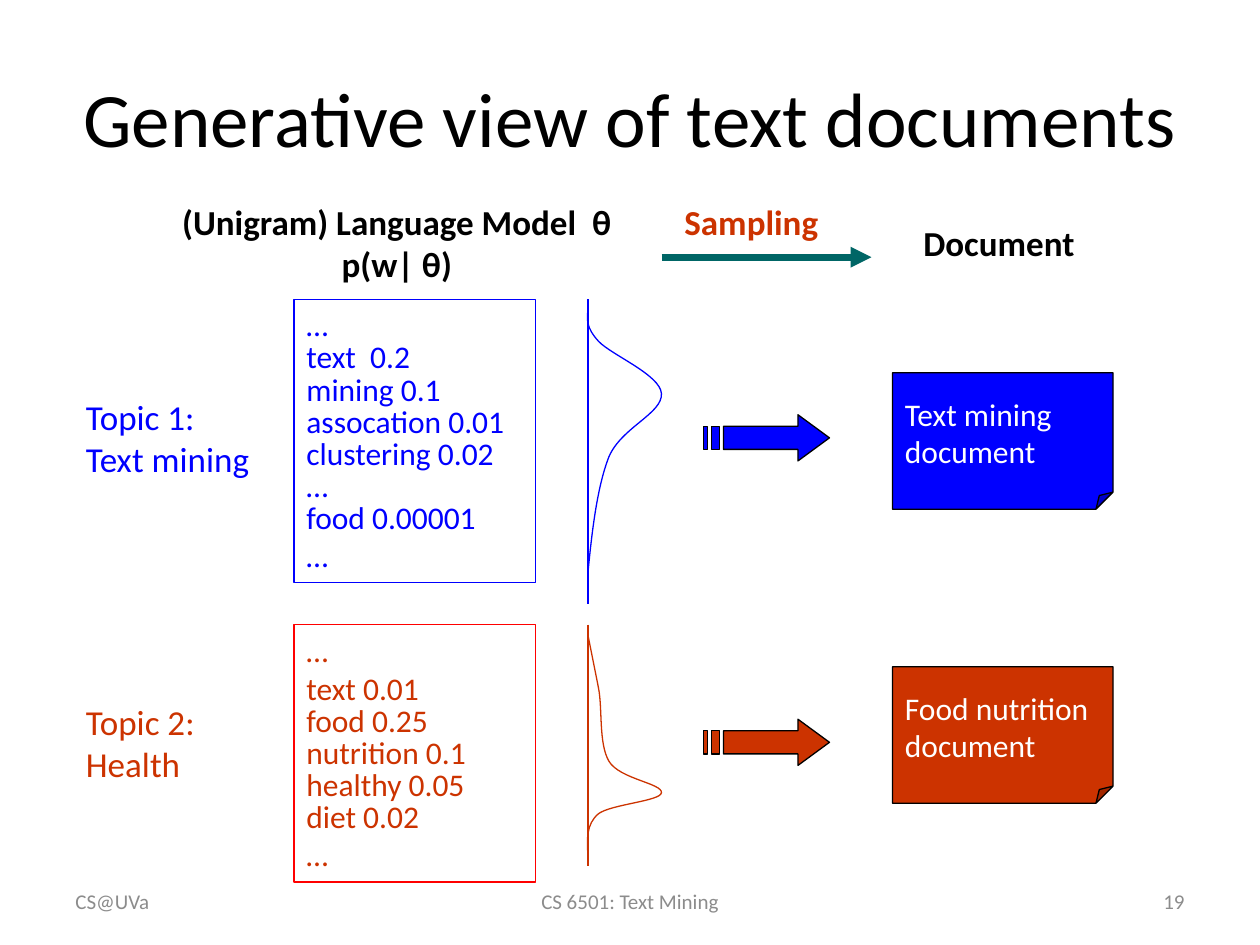
from lxml.etree import SubElement
from pptx import Presentation
from pptx.dml.color import RGBColor
from pptx.enum.shapes import MSO_CONNECTOR, MSO_SHAPE as Geo
from pptx.enum.text import MSO_ANCHOR as Anchor, MSO_AUTO_SIZE as Fit, PP_ALIGN as Align
from pptx.oxml.ns import qn
from pptx.util import Emu, Inches, Pt

HUES = {"black": "000000", "white": "FFFFFF", "blue": "0000FF", "rust": "CC3300",
        "red": "FF0000", "teal": "006666", "gray": "8C8C8C"}
CELL = Inches(1) / 12  # the slide is a grid of 120 columns and 90 rows


def grid(*cells):
    return [Emu(round(n * CELL)) for n in cells]


def rgb(hue):
    return RGBColor.from_string(HUES[hue])


def write(frame, text, size=20, hue="black", bold=False, align=Align.LEFT,
          anchor=Anchor.TOP, wrap=True, grow=False, tight=()):
    """Fill a text frame, one paragraph a line; tight lists the closely set lines."""
    frame.text = text
    frame.word_wrap = wrap
    frame.vertical_anchor = anchor
    frame.auto_size = Fit.SHAPE_TO_FIT_TEXT if grow else Fit.NONE
    for i, para in enumerate(frame.paragraphs):
        para.alignment = align
        if i in tight:
            para.line_spacing = 0.85
        for run in para.runs:
            font = run.font
            font.name, font.size, font.bold = "Calibri", Pt(size), bold
            font.color.rgb = rgb(hue)


class Board:
    """Draws on one slide in grid cells, with one shared style."""

    def __init__(self, deck):
        self.slide = deck.slides.add_slide(deck.slide_layouts[5])
        self.shapes = self.slide.shapes
        self.thin = 0.75

    def paint(self, shape, line, fill=None):
        shape.shadow.inherit = False
        shape.line.color.rgb = rgb(line)
        shape.line.width = Pt(self.thin)
        if fill:
            shape.fill.solid()
            shape.fill.fore_color.rgb = rgb(fill)
        else:
            shape.fill.background()

    def title(self, text, *box):
        shape = self.shapes.title
        shape.left, shape.top, shape.width, shape.height = grid(*box)
        write(shape.text_frame, text, size=44, align=Align.CENTER, anchor=Anchor.MIDDLE)

    def label(self, text, *box, **style):
        style = {"wrap": False, "grow": True, **style}
        write(self.shapes.add_textbox(*grid(*box)).text_frame, text, **style)

    def panel(self, text, *box, geo=Geo.RECTANGLE, line="black", fill=None, **style):
        shape = self.shapes.add_shape(geo, *grid(*box))
        if geo == Geo.FOLDED_CORNER:
            guides = next(shape.element.iter(qn("a:avLst")))
            SubElement(guides, qn("a:gd"), name="adj", fmla="val 12500")
        self.paint(shape, line, fill)
        write(shape.text_frame, text, size=18, **style)

    def rule(self, *ends, hue, width=None, head=False):
        rule = self.shapes.add_connector(MSO_CONNECTOR.STRAIGHT, *grid(*ends))
        rule.line.color.rgb = rgb(hue)
        rule.line.width = Pt(width or self.thin)
        if head:
            SubElement(rule.element.spPr.find(qn("a:ln")), qn("a:tailEnd"), type="triangle")
        SubElement(rule.element.spPr, qn("a:effectLst"))

    def outline(self, paths, close):
        pen = None
        for path in paths:
            start, *rest = [grid(*point) for point in path]
            if pen:
                pen.move_to(*start)
            else:
                pen = self.shapes.build_freeform(*start, scale=1.0)
            pen.add_line_segments(rest, close=close)
        return pen.convert_to_shape()

    def curve(self, points, hue):
        """Draw a Bezier chain: a start, then two handles and an end per part."""
        shape = self.outline([points], close=False)
        lines = list(shape.element.iter(qn("a:lnTo")))
        for i in range(0, len(lines), 3):
            bend = SubElement(lines[i].getparent(), qn("a:cubicBezTo"))
            for line in lines[i:i + 3]:
                bend.append(line[0])
                line.getparent().remove(line)
        self.paint(shape, hue)

    def arrow(self, x, y, hue):
        """Draw a block arrow with two stripes at its tail."""
        top, mid, low, end = y + 1.1, y + 2.2, y + 3.3, y + 4.4
        head = [(x + 9, y), (x + 9, top), (x + 1.9, top), (x + 1.9, low),
                (x + 9, low), (x + 9, end), (x + 12, mid)]
        bars = [[(a, top), (a, low), (b, low), (b, top)]
                for a, b in ((x + 0.75, x + 1.5), (x, x + 0.38))]
        self.paint(self.outline([head, *bars], close=True), "black", hue)


TOPICS = [
    {"hue": "blue", "edge": "blue", "name": "Topic 1:\nText mining", "spot": (37.1, 18.7),
     "words": "…\ntext  0.2\nmining 0.1\nassocation 0.01\nclustering 0.02\n…\nfood 0.00001\n…",
     "tight": range(1, 7), "top": 28.5, "tall": 27, "axis": 29,
     "bell": [(56, 29.5), (55.9, 30.4), (55.8, 31.2), (57, 32.5), (58.2, 33.8),
              (62.9, 35.7), (63, 37.5), (63.1, 39.4), (59.2, 40.7), (58, 43.5),
              (56.9, 46.3), (56.4, 50.4), (56, 54.5)],
     "doc": "Text mining\ndocument", "page": 35.5, "arrow": 39.5},
    {"hue": "rust", "edge": "red", "name": "Topic 2:\nHealth", "spot": (66.1, 13.6),
     "words": "…\ntext 0.01\nfood 0.25\nnutrition 0.1\nhealthy 0.05\ndiet 0.02\n…",
     "tight": range(2, 6), "top": 59.5, "tall": 24.5, "axis": 23,
     "bell": [(56, 60.5), (56.3, 62), (56.6, 63.5), (57, 65.5), (57.4, 67.5),
              (57, 70.8), (58, 72.5), (59, 74.2), (63.1, 74.6), (63, 75.5),
              (62.9, 76.3), (58.2, 76.6), (57, 77.5), (55.8, 78.5), (55.9, 80),
              (56, 81.5)],
     "doc": "Food nutrition\ndocument", "page": 63.5, "arrow": 68.5},
]
FOOT = [("CS@UVa", 6, 28, Align.LEFT), ("CS 6501: Text Mining", 41, 38, Align.CENTER),
        ("19", 86, 28, Align.RIGHT)]


def main():
    deck = Presentation()
    deck.slide_width, deck.slide_height = grid(120, 90)
    board = Board(deck)
    board.title("Generative view of text documents", 6, 3.6, 108, 15)
    board.label("(Unigram) Language Model  θ\np(w| θ)", 15, 18.5, 45.6, 9.24,
                bold=True, align=Align.CENTER)
    board.label("Sampling", 64, 18.5, 16, 5.2, hue="rust", bold=True)
    board.rule(63, 24.5, 83, 24.5, hue="teal", width=4, head=True)
    board.label(" Document", 86, 20.5, 17.9, 5.2, bold=True)

    for topic in TOPICS:
        hue, top = topic["hue"], topic["top"]
        row, wide = topic["spot"]
        board.label(topic["name"], 7, row, wide, 9.24, hue=hue)
        board.panel(topic["words"], 28, top, 23, topic["tall"], line=topic["edge"],
                    hue=hue, tight=topic["tight"], grow=True)
        board.rule(56, top, 56, top + topic["axis"], hue=hue)
        board.curve(topic["bell"], hue)
        board.panel(topic["doc"], 85, topic["page"], 21, 13, geo=Geo.FOLDED_CORNER,
                    fill=hue, hue="white", anchor=Anchor.MIDDLE)
        board.arrow(67, topic["arrow"], hue)

    for text, left, wide, align in FOOT:
        board.label(text, left, 83.4, wide, 4.8, size=12, hue="gray", align=align,
                    anchor=Anchor.MIDDLE, wrap=True, grow=False)
    deck.save("out.pptx")


if __name__ == "__main__":
    main()
